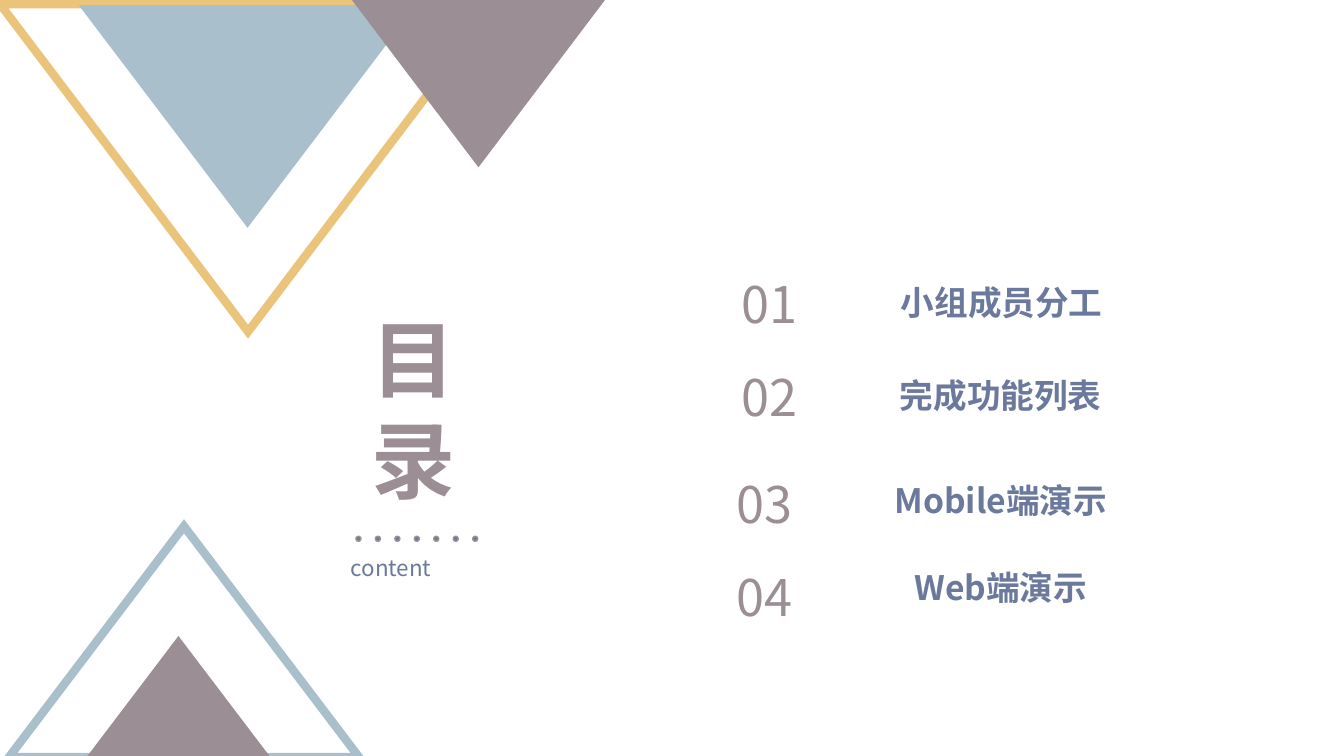
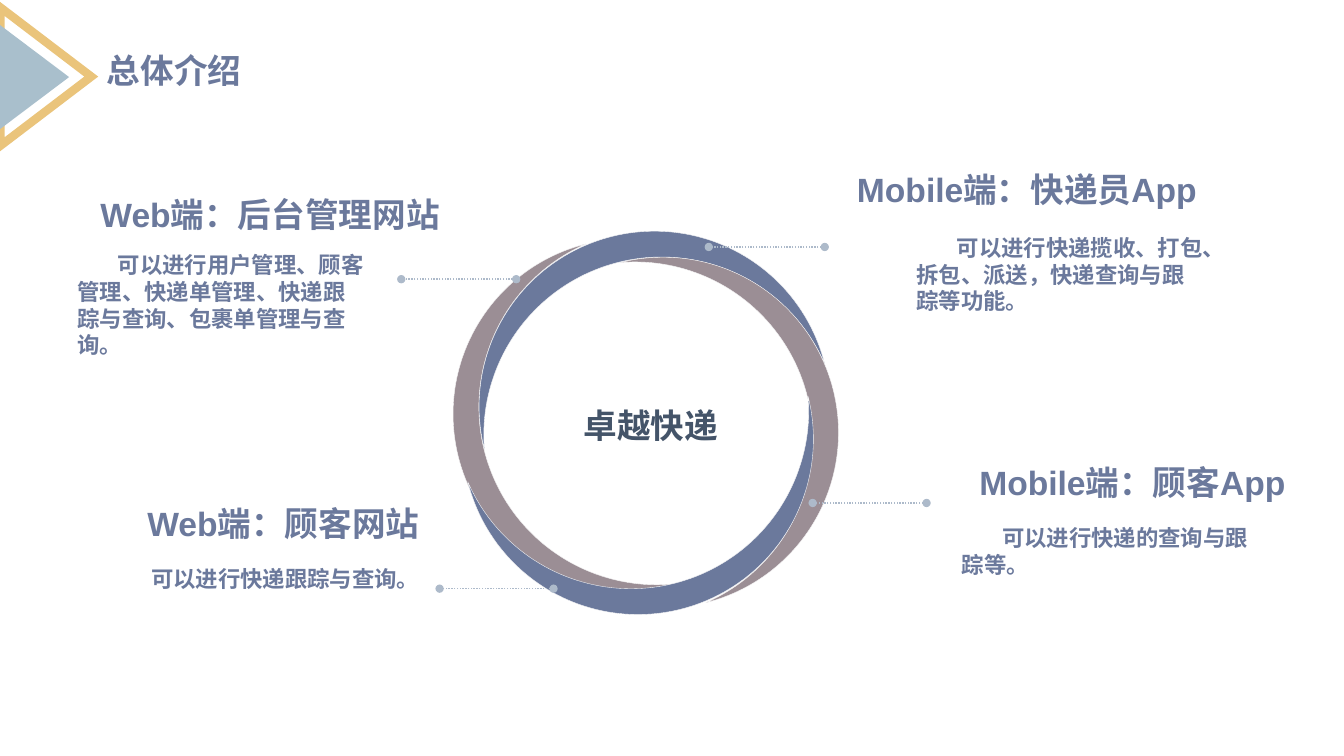
import pptx
import pptx.dml.color
import pptx.enum.dml
import pptx.enum.shapes
import pptx.enum.text
import pptx.oxml.ns
import pptx.util
from lxml import etree

Inches = pptx.util.Inches
Pt = pptx.util.Pt
SHAPE = pptx.enum.shapes.MSO_SHAPE
ALIGN = pptx.enum.text.PP_ALIGN
qn = pptx.oxml.ns.qn

COLORS = {
    "gold": "EAC47B",
    "sky": "A9BFCC",
    "mauve": "9B8E95",
    "blue": "6B799C",
    "navy": "445469",
    "leader": "ADBACA",
    "dot_edge": "969696",
    "hairline": "F8F8F8",
}
CJK = "Noto Sans CJK SC"
LATIN = "Arial"


def rgb(name):
    return pptx.dml.color.RGBColor.from_string(COLORS[name])


# Text
def set_text(sp, text, size=24, color="blue", bold=True, font=CJK,
             align=ALIGN.LEFT, inset=True, indent=0):
    tf = sp.text_frame
    tf.word_wrap = True
    tf.auto_size = pptx.enum.text.MSO_AUTO_SIZE.NONE
    tf.vertical_anchor = pptx.enum.text.MSO_ANCHOR.TOP
    tf.margin_left = tf.margin_right = Inches(0.1 if inset else 0)
    tf.margin_top = tf.margin_bottom = Inches(0.05 if inset else 0)
    p = tf.paragraphs[0]
    p.alignment = align
    if indent:
        p._p.get_or_add_pPr().set("indent", str(Inches(indent)))
    r = p.add_run()
    r.text = text
    r.font.size = Pt(size)
    r.font.bold = bold
    r.font.name = font
    r.font.color.rgb = rgb(color)
    ea = etree.SubElement(r._r.get_or_add_rPr(), qn("a:ea"))
    ea.set("typeface", CJK)


def add_text(s, text, x, y, w, h, **fmt):
    sp = s.shapes.add_textbox(Inches(x), Inches(y), Inches(w), Inches(h))
    set_text(sp, text, **fmt)


def add_slide(prs, title, x, y, w, h, **fmt):
    s = prs.slides.add_slide(prs.slide_layouts[5])
    sp = s.shapes.title
    sp.left, sp.top, sp.width, sp.height = map(Inches, (x, y, w, h))
    set_text(sp, title, **fmt)
    return s


# Shapes
def add_shape(shapes, kind, x, y, w, h, fill=None, line=None, weight=1, rot=0):
    sp = shapes.add_shape(kind, Inches(x), Inches(y), Inches(w), Inches(h))
    sp.shadow.inherit = False
    sp.rotation = rot
    if fill:
        sp.fill.solid()
        sp.fill.fore_color.rgb = rgb(fill)
    else:
        sp.fill.background()
    if line:
        sp.line.color.rgb = rgb(line)
        sp.line.width = Pt(weight)
    else:
        sp.line.fill.background()
    return sp


def add_triangle(s, x, y, w, h, rot=0, fill=None, line=None):
    sp = add_shape(s.shapes, SHAPE.ISOSCELES_TRIANGLE, x, y, w, h,
                   fill=fill, line=line, weight=6, rot=rot)
    if line:
        miter = etree.SubElement(sp.line._get_or_add_ln(), qn("a:miter"))
        miter.set("lim", "800000")


def add_leader(s, x1, x2, y):
    """Dotted line with a round dot at both ends."""
    c = s.shapes.add_connector(pptx.enum.shapes.MSO_CONNECTOR.STRAIGHT,
                               Inches(x1), Inches(y), Inches(x2), Inches(y))
    c.line.color.rgb = rgb("leader")
    c.line.width = Pt(1)
    c.line.dash_style = pptx.enum.dml.MSO_LINE.ROUND_DOT
    ln = c.line._get_or_add_ln()
    for end in ("a:headEnd", "a:tailEnd"):
        etree.SubElement(ln, qn(end)).set("type", "oval")
    etree.SubElement(c._element.spPr, qn("a:effectLst"))


def add_dot_row(s, x, y, count, step):
    group = s.shapes.add_group_shape()
    for i in range(count):
        add_shape(group.shapes, SHAPE.OVAL, x + i * step, y, 0.05, 0.05,
                  fill="blue", line="dot_edge")


# Slides
def build_contents(prs):
    s = add_slide(prs, "目 录", 3.58, 3, 1.75, 2.12, size=60, color="mauve")

    add_triangle(s, 0.09, 5.22, 3.47, 2.29, line="sky")
    add_triangle(s, 0, 0.04, 4.92, 3.25, rot=180, line="gold")
    add_triangle(s, 0.78, 0.05, 3.35, 2.21, rot=180, fill="sky")
    add_triangle(s, 3.49, 0, 2.51, 1.66, rot=180, fill="mauve")
    add_triangle(s, 0.86, 6.31, 1.82, 1.2, fill="mauve")

    add_dot_row(s, 3.53, 5.32, count=7, step=0.193)
    add_text(s, "content", 3.48, 5.5, 1.36, 0.27, size=16, bold=False,
             inset=False)

    # Entry, number position, label position and width
    entries = [
        ("小组成员分工", 7.02, 2.66, 7.68, 2.75, 4.51),
        ("完成功能列表", 7.02, 3.58, 8.1, 3.67, 3.65),
        ("Mobile端演示", 6.97, 4.64, 7.67, 4.71, 4.51),
        ("Web端演示", 6.97, 5.57, 7.59, 5.58, 4.67),
    ]
    for i, (label, nx, ny, x, y, w) in enumerate(entries, 1):
        add_text(s, f"{i:02d}", nx, ny, 1.23, 0.71, size=36, color="mauve",
                 bold=False, align=ALIGN.CENTER)
        add_text(s, label, x, y, w, 0.5, align=ALIGN.CENTER)


def build_overview(prs):
    s = add_slide(prs, "总体介绍", 0.96, 0.44, 2.92, 0.5)
    add_triangle(s, -0.23, 0.31, 1.37, 0.9, rot=90, line="gold")
    add_triangle(s, -0.18, 0.42, 1.04, 0.69, rot=90, fill="sky")

    # Ring of four crescents, each a quarter turn on
    for i, (x, y) in enumerate([(4.52, 2.58), (5.41, 1.45),
                                (6.55, 2.34), (5.67, 3.46)]):
        moon = add_shape(s.shapes, SHAPE.MOON, x, y, 1.74, 3.48,
                         fill=("mauve", "blue")[i % 2], line="hairline",
                         weight=0.25, rot=(345.9 + 90 * i) % 360)
        moon.adjustments[0] = 0.152
    add_text(s, "卓越快递", 5.3, 3.97, 2.31, 0.5, color="navy", font=LATIN,
             align=ALIGN.CENTER)

    # Heading and its box, body and its box, leader line
    parts = [
        ("Web端：后台管理网站", (0.54, 1.92, 3.82, 0.4),
         "可以进行用户管理、顾客管理、快递单管理、快递跟踪与查询、包裹单管理与查询。",
         (0.77, 2.49, 2.88, 1.08), (5.12, 3.98, 2.77)),
        ("Web端：顾客网站", (0.63, 4.99, 3.53, 0.4),
         "可以进行快递跟踪与查询。",
         (1.1, 5.61, 2.88, 0.54), (5.49, 4.36, 5.84)),
        ("Mobile端：快递员App", (7.8, 1.68, 4.07, 0.4),
         "可以进行快递揽收、打包、拆包、派送，快递查询与跟踪等功能。",
         (9.09, 2.32, 2.88, 0.81), (8.18, 7.03, 2.45)),
        ("Mobile端：顾客App", (8.68, 4.58, 4.07, 0.4),
         "可以进行快递的查询与跟踪等。",
         (9.54, 5.2, 2.88, 0.54), (9.19, 8.06, 4.99)),
    ]
    for heading, heading_box, body, body_box, leader in parts:
        add_leader(s, *leader)
        add_text(s, heading, *heading_box, font=LATIN, align=ALIGN.RIGHT,
                 inset=False)
        add_text(s, body, *body_box, size=16, font=LATIN, inset=False,
                 indent=0.4)


def main():
    prs = pptx.Presentation()
    prs.slide_width, prs.slide_height = Inches(13.33), Inches(7.5)
    build_contents(prs)
    build_overview(prs)
    prs.save("out.pptx")


if __name__ == "__main__":
    main()
